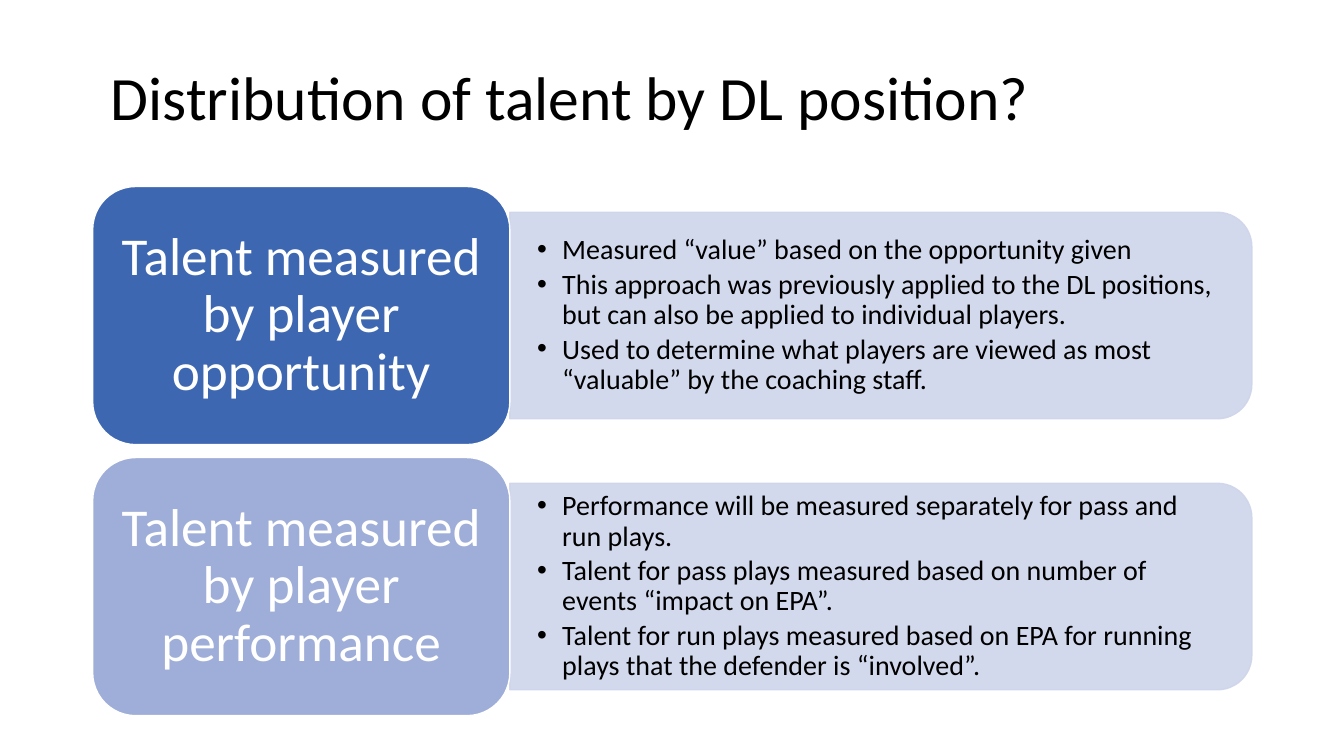
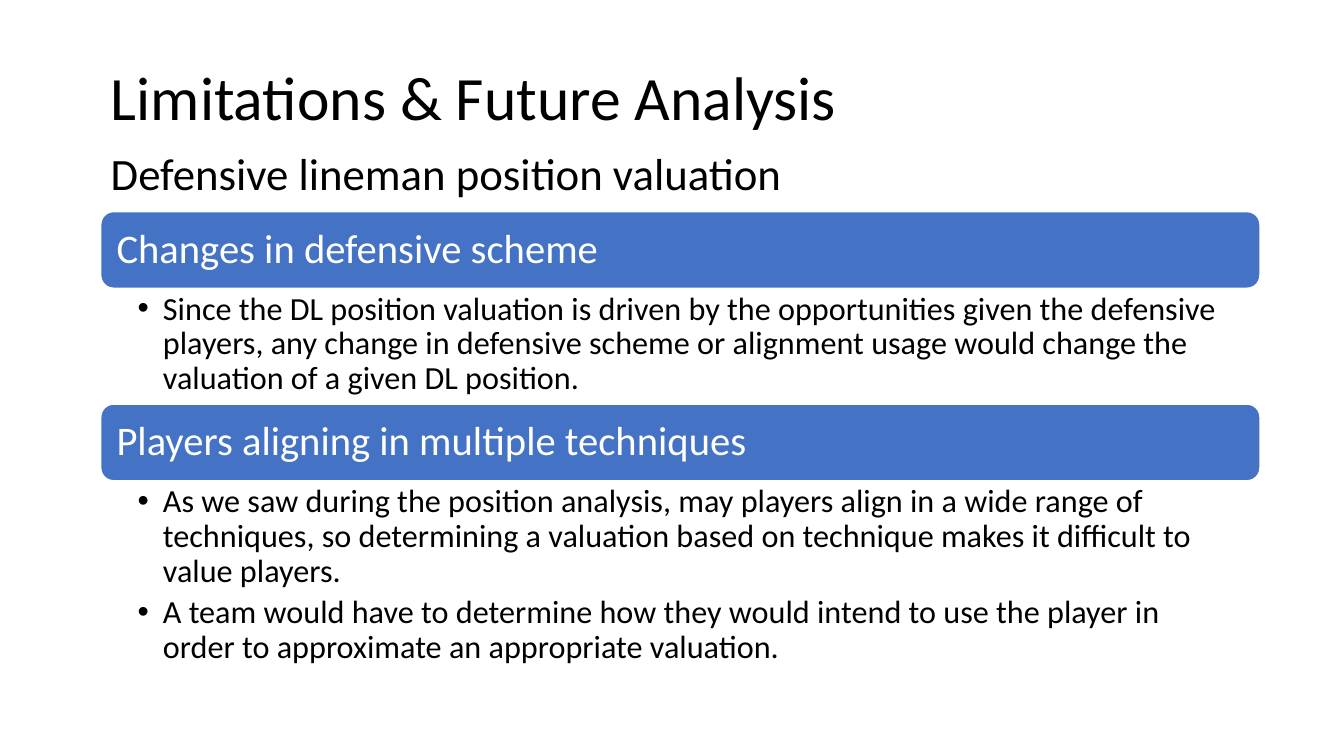
import pptx
import pptx.dml.color
import pptx.enum.shapes
import pptx.enum.text
import pptx.oxml
import pptx.oxml.ns
import pptx.util
from lxml import etree

Pt = pptx.util.Pt
SHAPES = pptx.enum.shapes.MSO_SHAPE
ANCHOR = pptx.enum.text.MSO_ANCHOR
ALIGN = pptx.enum.text.PP_ALIGN
AUTO_SIZE = pptx.enum.text.MSO_AUTO_SIZE

FONT = "Calibri"
COLORS = {
    "text": "000000",
    "white": "FFFFFF",
    "panel": "CFD5EA",
    "strong": "3E67B2",
    "soft": "9FAED8",
    "band": "4472C4",
}
LINE_SPACING = 0.9
BULLET_INDENT = 18
TITLE_BOX = (72, 36, 828, 72)

TALENT_ROWS = [
    ("Talent measured by player opportunity", "strong", [
        "Measured “value” based on the opportunity given",
        "This approach was previously applied to the DL positions, "
        "but can also be applied to individual players.",
        "Used to determine what players are viewed as most “valuable” "
        "by the coaching staff.",
    ]),
    ("Talent measured by player performance", "soft", [
        "Performance will be measured separately for pass and run plays.",
        "Talent for pass plays measured based on number of events “impact on EPA”.",
        "Talent for run plays measured based on EPA for running plays "
        "that the defender is “involved”.",
    ]),
]
LIMITATIONS = [
    ("Changes in defensive scheme", 82.8, [
        "Since the DL position valuation is driven by the opportunities given "
        "the defensive players, any change in defensive scheme or alignment "
        "usage would change the valuation of a given DL position.",
    ]),
    ("Players aligning in multiple techniques", 139.7, [
        "As we saw during the position analysis, may players align in a wide "
        "range of techniques, so determining a valuation based on technique "
        "makes it difficult to value players.",
        "A team would have to determine how they would intend to use the player "
        "in order to approximate an appropriate valuation.",
    ]),
]


def rgb(name):
    return pptx.dml.color.RGBColor.from_string(COLORS[name])


def place(shape, left, top, width, height):
    shape.left, shape.top = Pt(left), Pt(top)
    shape.width, shape.height = Pt(width), Pt(height)


def set_frame(frame, anchor, insets=(7.2, 3.6, 7.2, 3.6)):
    frame.word_wrap = True
    frame.auto_size = AUTO_SIZE.NONE
    frame.vertical_anchor = anchor
    frame.margin_left, frame.margin_top, frame.margin_right, frame.margin_bottom = map(Pt, insets)


def write(paragraph, text, size, color="text", align=ALIGN.LEFT, spacing=LINE_SPACING):
    paragraph.alignment = align
    paragraph.line_spacing = spacing
    paragraph.space_before = Pt(0)
    run = paragraph.add_run()
    run.text = text
    run.font.name = FONT
    run.font.size = Pt(size)
    run.font.color.rgb = rgb(color)


def add_block(slide, kind, box, fill, line):
    shape = slide.shapes.add_shape(kind, *map(Pt, box))
    shape.shadow.inherit = False
    shape.fill.solid()
    shape.fill.fore_color.rgb = rgb(fill)
    shape.line.color.rgb = rgb(line)
    shape.line.width = Pt(1)
    return shape


def set_opacity(shape, percent):
    """Apply one opacity to the fill and the outline."""
    for color in shape.element.spPr.iter(pptx.oxml.ns.qn("a:srgbClr")):
        etree.SubElement(color, pptx.oxml.ns.qn("a:alpha")).set("val", str(percent * 1000))


def fill_list(body, box, items, size, gap, anchor, insets):
    """Write a bulleted list in a body placeholder and bring it to the front."""
    place(body, *box)
    frame = body.text_frame
    set_frame(frame, anchor, insets)
    for index, item in enumerate(items):
        paragraph = frame.add_paragraph() if index else frame.paragraphs[0]
        write(paragraph, item, size)
        paragraph.space_after = Pt(gap)
        properties = paragraph._p.get_or_add_pPr()
        properties.set("marL", str(Pt(BULLET_INDENT)))
        properties.set("indent", str(-Pt(BULLET_INDENT)))
    body.element.getparent().append(body.element)


def add_titled_slide(presentation, title):
    slide = presentation.slides.add_slide(presentation.slide_layouts.get_by_name("Two Content"))
    place(slide.shapes.title, *TITLE_BOX)
    frame = slide.shapes.title.text_frame
    set_frame(frame, ANCHOR.MIDDLE)
    write(frame.paragraphs[0], title, 44)
    bodies = [slide.placeholders[1], slide.placeholders[2]]
    return slide, bodies


def add_talent_row(slide, body, box, label, fill, items):
    """Place a label block with a panel of bullets to its right."""
    left, top, width, height = box
    label_width = 298
    panel_left, panel_width = left + label_width, width - label_width
    panel_height = 0.8 * height
    middle = top + height / 2

    # The panel is a tall shape turned a quarter, so its rounded end faces right.
    upright = (panel_left + (panel_width - panel_height) / 2, middle - panel_width / 2,
               panel_height, panel_width)
    panel = add_block(slide, SHAPES.ROUND_2_SAME_RECTANGLE, upright, "panel", "panel")
    panel.rotation = 90
    set_opacity(panel, 90)

    list_height = 133.2
    fill_list(body, (panel_left, middle - list_height / 2, panel_width - 7, list_height),
              items, 20, 3, ANCHOR.MIDDLE, (19.4, 10, 19.4, 10))

    block = add_block(slide, SHAPES.ROUNDED_RECTANGLE,
                      (left, top, label_width, height), fill, "white")
    set_frame(block.text_frame, ANCHOR.MIDDLE, (11.4, 5.7, 11.4, 5.7))
    write(block.text_frame.paragraphs[0], label, 38, "white", ALIGN.CENTER)


def add_limitation(slide, body, box, heading, items):
    """Place a heading band with its bullets below."""
    left, top, width, height = box
    band_height = 54.7
    band = add_block(slide, SHAPES.ROUNDED_RECTANGLE,
                     (left, top, width, band_height), "band", "white")
    set_frame(band.text_frame, ANCHOR.MIDDLE, (8.6, 8.6, 8.6, 8.6))
    write(band.text_frame.paragraphs[0], heading, 29, "white")
    fill_list(body, (left, top + band_height, width, height - band_height),
              items, 23, 4.6, ANCHOR.TOP, (26.4, 2.9, 16.4, 2.9))
    return top + height


def build_talent_slide(presentation):
    slide, bodies = add_titled_slide(presentation, "Distribution of talent by DL position?")
    row_height, gap = 184.4, 9.2
    for index, (body, (label, fill, items)) in enumerate(zip(bodies, TALENT_ROWS)):
        top = 133.2 + index * (row_height + gap)
        add_talent_row(slide, body, (66.2, top, 828, row_height), label, fill, items)


def build_limitations_slide(presentation):
    slide, bodies = add_titled_slide(presentation, "Limitations & Future Analysis")
    subtitle = slide.shapes.add_textbox(Pt(72), Pt(100.8), Pt(500), Pt(46))
    subtitle.text_frame.word_wrap = False
    subtitle.text_frame.auto_size = AUTO_SIZE.SHAPE_TO_FIT_TEXT
    write(subtitle.text_frame.paragraphs[0], "Defensive lineman position valuation", 32, spacing=1.0)
    top = 151.2
    for body, (heading, list_height, items) in zip(bodies, LIMITATIONS):
        top = add_limitation(slide, body, (72, top, 828, 54.7 + list_height), heading, items)


def main():
    presentation = pptx.Presentation()
    presentation.slide_width, presentation.slide_height = Pt(960), Pt(540)
    build_talent_slide(presentation)
    build_limitations_slide(presentation)
    presentation.save("out.pptx")


if __name__ == "__main__":
    main()
